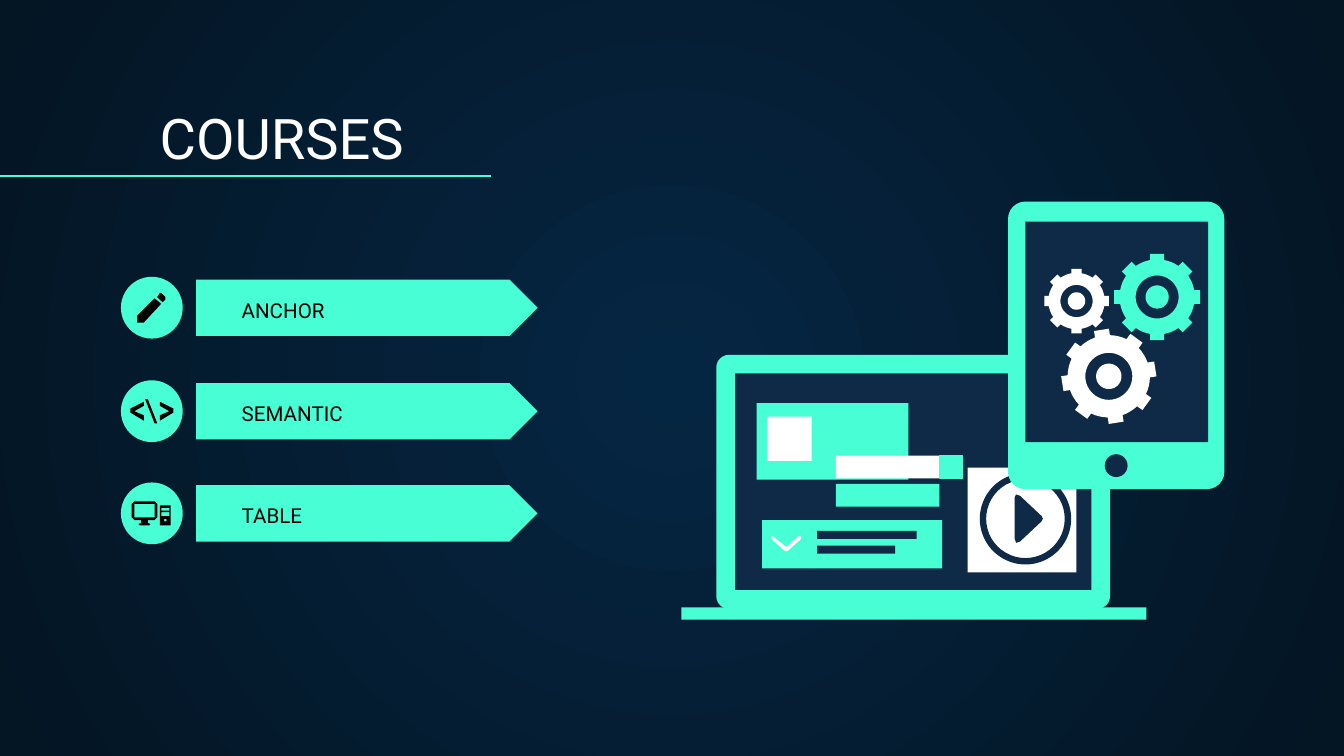
from math import cos, hypot, pi, radians, sin

from lxml import etree
from pptx import Presentation
from pptx import util as u
from pptx.dml.color import RGBColor
from pptx.enum import shapes, text
from pptx.oxml.ns import qn

MINT, NAVY, WHITE, BLACK = "48FFD5", "0E2A47", "FFFFFF", "000000"
PRESET = shapes.MSO_SHAPE


def inch(value):
    return u.Cm(value * 2.54)


def colour(code):
    return RGBColor.from_string(code)


def box_outline(left, top, width, height):
    right, bottom = left + width, top + height
    return [(left, top), (right, top), (right, bottom), (left, bottom)]


def circle_outline(x, y, radius, steps=40):
    turns = [2 * pi * step / steps for step in range(steps)]
    return [(x + radius * cos(a), y + radius * sin(a)) for a in turns]


def gear_outline(x, y, radius, tilt, teeth=8):
    root, half_tooth = radius * 0.86, radius * 0.16
    flank = hypot(root, half_tooth)
    half_angle = half_tooth / root
    gap = 2 * pi / teeth - 2 * half_angle
    outline = []
    for tooth in range(teeth):
        middle = radians(tilt) + 2 * pi * tooth / teeth
        for reach, side in ((root, -1), (radius, -1), (radius, 1), (root, 1)):
            outline.append((x + reach * cos(middle) - side * half_tooth * sin(middle),
                            y + reach * sin(middle) + side * half_tooth * cos(middle)))
        for step in range(1, 4):
            a = middle + half_angle + gap * step / 4
            outline.append((x + flank * cos(a), y + flank * sin(a)))
    return outline


class SlideArtist:
    font = "Roboto"
    inset = 0.1

    def __init__(self, slide):
        self.slide = slide

    def background(self, centre, edge):
        fill = self.slide.background.fill
        fill.gradient()
        for stop, code in zip(fill.gradient_stops, (centre, edge)):
            stop.color.rgb = colour(code)
        gradient = self.slide._element.find(".//" + qn("a:gradFill"))
        gradient.remove(gradient.find(qn("a:lin")))
        circle = etree.SubElement(gradient, qn("a:path"), path="circle")
        etree.SubElement(circle, qn("a:fillToRect"), l="50000", t="50000", r="50000", b="50000")

    def paint(self, shape, fill, line=None):
        shape.shadow.inherit = False
        shape.fill.solid()
        shape.fill.fore_color.rgb = colour(fill)
        if line:
            shape.line.color.rgb = colour(line)
            shape.line.width = u.Pt(0.75)
        else:
            shape.line.fill.background()

    def preset(self, kind, place, fill, adjust=None, line=None):
        shape = self.slide.shapes.add_shape(kind, *map(inch, place))
        if adjust is not None:
            shape.adjustments[0] = adjust
        self.paint(shape, fill, line)

    def outline(self, contours, fill):
        first, *others = [[(inch(x), inch(y)) for x, y in contour] for contour in contours]
        builder = self.slide.shapes.build_freeform(*first[0])
        builder.add_line_segments(first[1:])
        for contour in others:
            builder.move_to(*contour[0])
            builder.add_line_segments(contour[1:])
        self.paint(builder.convert_to_shape(), fill)

    def gear(self, x, y, radius, fill, tilt=0):
        self.outline([gear_outline(x, y, radius, tilt),
                      circle_outline(x, y, radius * 0.5),
                      circle_outline(x, y, radius * 0.27)], fill)

    def rule(self, start, end, stroke):
        line = self.slide.shapes.add_connector(
            shapes.MSO_CONNECTOR.STRAIGHT, *map(inch, start + end))
        line.line.color.rgb = colour(stroke)
        line.line.width = u.Pt(0.75)
        etree.SubElement(line._element.spPr, qn("a:effectLst"))

    def label(self, words, place, size, ink):
        frame = self.slide.shapes.add_textbox(*map(inch, place)).text_frame
        frame.word_wrap = True
        frame.vertical_anchor = text.MSO_ANCHOR.BOTTOM
        frame.margin_left = frame.margin_right = inch(self.inset)
        frame.margin_top = frame.margin_bottom = inch(self.inset)
        run = frame.paragraphs[0].add_run()
        run.text = words
        run.font.name = self.font
        run.font.size = u.Pt(size)
        run.font.color.rgb = colour(ink)


def draw_courses(artist):
    artist.label("COURSES", (1.09, 0.71, 8.57, 0.66), 30, WHITE)
    artist.rule((0, 1.31), (3.65, 1.31), MINT)
    for course, top in (("ANCHOR", 2.08), ("SEMANTIC", 2.85), ("TABLE", 3.61)):
        artist.preset(PRESET.PENTAGON, (1.46, top, 2.54, 0.42), MINT, 0.5)
        artist.preset(PRESET.OVAL, (0.9, top - 0.02, 0.46, 0.46), MINT)
        artist.label(course, (1.7, top + 0.2, 2.27, 0.21), 11, BLACK)


def draw_icons(artist):
    pencil_tip = [(1.19, 2.18), (1.2, 2.18), (1.23, 2.21), (1.23, 2.23), (1.21, 2.25), (1.17, 2.21)]
    pencil_body = [(1.15, 2.22), (1.02, 2.35), (1.02, 2.4), (1.07, 2.4), (1.2, 2.26)]
    artist.outline([pencil_tip, pencil_body], BLACK)

    middle = 1.13
    bracket = [(0.06, 3.13), (0.16, 3.07), (0.16, 3.04), (0.06, 2.99),
               (0.06, 3.02), (0.13, 3.06), (0.06, 3.09)]
    for side in (-1, 1):
        artist.outline([[(middle + side * x, y) for x, y in bracket]], BLACK)
    artist.outline([[(1.15, 3.15), (1.08, 2.97), (1.1, 2.97), (1.17, 3.15)]], BLACK)

    monitor = [(1, 3.73), (1.15, 3.73), (1.17, 3.75), (1.17, 3.85), (1.15, 3.87), (1.1, 3.87),
               (1.1, 3.89), (1.12, 3.9), (1.11, 3.91), (1.04, 3.91), (1.03, 3.9), (1.05, 3.89),
               (1.05, 3.87), (1, 3.87), (0.98, 3.85), (0.98, 3.75)]
    artist.outline([monitor, box_outline(1, 3.75, 0.15, 0.1)], BLACK)
    artist.outline([box_outline(1.19, 3.76, 0.08, 0.15),
                    box_outline(1.2, 3.78, 0.06, 0.02),
                    box_outline(1.2, 3.81, 0.06, 0.03),
                    circle_outline(1.23, 3.87, 0.01)], BLACK)


def draw_laptop(artist):
    artist.preset(PRESET.ROUNDED_RECTANGLE, (5.33, 2.64, 2.93, 1.89), MINT, 0.05)
    for place, fill in (
        ((5.47, 2.78, 2.65, 1.61), NAVY),
        ((5.07, 4.52, 3.46, 0.09), MINT),
        ((5.47, 2.78, 2.65, 0.15), NAVY),
        ((5.63, 3, 1.13, 0.57), MINT),
        ((5.71, 3.1, 0.33, 0.33), WHITE),
        ((6.02, 3.87, 0.99, 0.36), MINT),
        ((6.08, 3.95, 0.74, 0.06), NAVY),
        ((6.08, 4.06, 0.58, 0.06), NAVY),
        ((5.67, 3.87, 0.35, 0.36), MINT),
        ((6.22, 3.6, 0.77, 0.17), MINT),
        ((6.22, 3.39, 0.77, 0.17), WHITE),
        ((7.2, 3.48, 0.81, 0.78), WHITE),
    ):
        artist.preset(PRESET.RECTANGLE, place, fill)
    artist.preset(PRESET.RECTANGLE, (6.99, 3.39, 0.17, 0.17), MINT, line=MINT)
    artist.outline([[(5.75, 3.99), (5.85, 4.07), (5.94, 3.99), (5.96, 3.99), (5.96, 4.01),
                     (5.86, 4.1), (5.84, 4.1), (5.74, 4.01), (5.74, 3.99)]], WHITE)
    artist.preset(PRESET.DONUT, (7.29, 3.52, 0.68, 0.68), NAVY, 0.07)
    artist.outline([[(7.55, 3.7), (7.56, 3.68), (7.59, 3.69), (7.75, 3.84), (7.76, 3.86),
                     (7.75, 3.88), (7.59, 4.03), (7.56, 4.04), (7.55, 4.01)]], NAVY)


def draw_tablet(artist):
    artist.preset(PRESET.ROUNDED_RECTANGLE, (7.5, 1.5, 1.61, 2.14), MINT, 0.08)
    artist.preset(PRESET.RECTANGLE, (7.63, 1.65, 1.36, 1.64), NAVY)
    artist.preset(PRESET.OVAL, (8.22, 3.38, 0.17, 0.17), NAVY)
    artist.gear(8.61, 2.21, 0.32, MINT)
    artist.gear(8.01, 2.24, 0.24, WHITE)
    artist.gear(8.25, 2.8, 0.35, WHITE, tilt=-9)


def main():
    deck = Presentation()
    deck.slide_width, deck.slide_height = inch(10), inch(10 * 9 / 16)
    artist = SlideArtist(deck.slides.add_slide(deck.slide_layouts[6]))
    artist.background("052643", "041523")
    draw_courses(artist)
    draw_icons(artist)
    draw_laptop(artist)
    draw_tablet(artist)
    deck.save("out.pptx")


if __name__ == "__main__":
    main()
